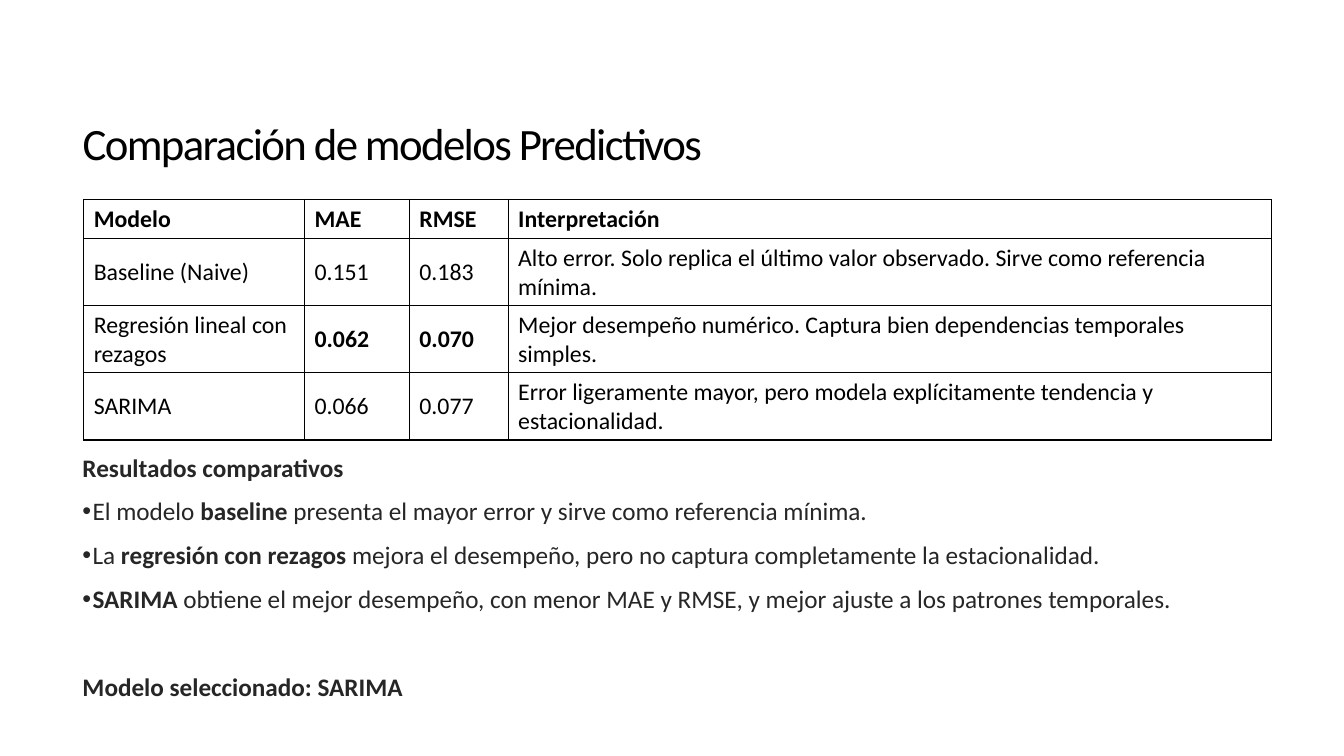
from lxml.etree import SubElement
from pptx import Presentation
from pptx.dml.color import RGBColor
from pptx.enum.text import MSO_ANCHOR as Anchor
from pptx.oxml.ns import qn
from pptx.util import Inches, Pt

BLACK = RGBColor(0x00, 0x00, 0x00)
CHARCOAL = RGBColor(0x26, 0x26, 0x26)

MODELS = [
    ["Modelo", "MAE", "RMSE", "Interpretación"],
    ["Baseline (Naive)", "0.151", "0.183",
     "Alto error. Solo replica el último valor observado. Sirve como referencia mínima."],
    ["Regresión lineal con rezagos", "0.062", "0.070",
     "Mejor desempeño numérico. Captura bien dependencias temporales simples."],
    ["SARIMA", "0.066", "0.077",
     "Error ligeramente mayor, pero modela explícitamente tendencia y estacionalidad."],
]
BOLD_CELLS = {(0, 0), (0, 1), (0, 2), (0, 3), (2, 1), (2, 2)}

FINDINGS = [
    [("El modelo ", False), ("baseline", True),
     (" presenta el mayor error y sirve como referencia mínima.", False)],
    [("La ", False), ("regresión con rezagos", True),
     (" mejora el desempeño, pero no captura completamente la estacionalidad.", False)],
    [("SARIMA ", True),
     ("obtiene el mejor desempeño, con menor MAE y RMSE, "
      "y mejor ajuste a los patrones temporales.", False)],
]


def add_span(para, text, size=18, color=CHARCOAL, bold=False, spacing=None, font="Calibri"):
    """Append formatted text to a paragraph."""
    span = para.add_run()
    span.text = text
    span.font.name = font
    span.font.size = Pt(size)
    span.font.bold = bold
    span.font.color.rgb = color
    if spacing is not None:
        span.font._element.set("spc", str(round(spacing * 100)))


class SlideBuilder:
    """Hold the page and its style, and add each kind of element."""

    def __init__(self, page, line_spacing=0.85, border=1):
        self.page = page
        self.line_spacing = line_spacing
        self.border = border

    def text_box(self, left, top, width, height, anchor):
        """Add an empty wrapping text box and return its frame."""
        box = self.page.shapes.add_textbox(*map(Inches, (left, top, width, height)))
        frame = box.text_frame
        frame.word_wrap = True
        frame.vertical_anchor = anchor
        return frame

    def paragraph(self, frame, spans, before=0, bullet=False, **style):
        """Fill the first paragraph of a frame, or add another one."""
        first = frame.paragraphs[0]
        para = frame.add_paragraph() if first.runs else first
        para.line_spacing = self.line_spacing
        para.space_before = Pt(before)
        if bullet:
            properties = para._p.get_or_add_pPr()
            properties.set("marL", str(Inches(0.1)))
            properties.set("indent", str(-Inches(0.1)))
            SubElement(properties, qn("a:buFont"), typeface="Arial")
            SubElement(properties, qn("a:buChar"), char="•")
        for text, bold in spans:
            add_span(para, text, bold=bold, **style)

    def outline(self, cell):
        """Draw the four borders of a cell."""
        properties = cell._tc.get_or_add_tcPr()
        for side in ("L", "R", "T", "B"):
            line = SubElement(properties, qn(f"a:ln{side}"), w=str(Pt(self.border)))
            fill = SubElement(line, qn("a:solidFill"))
            SubElement(fill, qn("a:srgbClr"), val=str(BLACK))

    def table(self, left, top, widths, heights, rows, bold_cells):
        """Add a plain bordered table."""
        table = self.page.shapes.add_table(
            len(rows), len(widths), Inches(left), Inches(top),
            Inches(sum(widths)), Inches(sum(heights))).table
        table.first_row = table.horz_banding = False
        for column, width in zip(table.columns, widths):
            column.width = Inches(width)
        for row, height in zip(table.rows, heights):
            row.height = Inches(height)
        for r, texts in enumerate(rows):
            for c, text in enumerate(texts):
                cell = table.cell(r, c)
                cell.vertical_anchor = Anchor.MIDDLE
                self.outline(cell)
                cell.fill.background()
                add_span(cell.text_frame.paragraphs[0], text, size=17,
                         color=BLACK, bold=(r, c) in bold_cells)


def main():
    """Build the model comparison slide."""
    deck = Presentation()
    deck.slide_width, deck.slide_height = Inches(13.33), Inches(7.5)
    builder = SlideBuilder(deck.slides.add_slide(deck.slide_layouts[6]))

    title = builder.text_box(0.72, 0.55, 11.78, 1.81, Anchor.MIDDLE)
    builder.paragraph(title, [("Comparación de modelos Predictivos", False)],
                      size=32, color=BLACK, spacing=-1.2)

    results = builder.text_box(0.72, 4.48, 11.9, 2.86, Anchor.TOP)
    builder.paragraph(results, [("Resultados comparativos", True)])
    for finding in FINDINGS:
        builder.paragraph(results, finding, before=13, bullet=True)
    builder.paragraph(results, [("Modelo seleccionado: SARIMA", True)], before=44.5)

    builder.table(0.83, 1.98, [2.19, 1.04, 0.98, 7.57], [0.38] + [0.66] * 3,
                  MODELS, BOLD_CELLS)
    deck.save("out.pptx")


if __name__ == "__main__":
    main()
